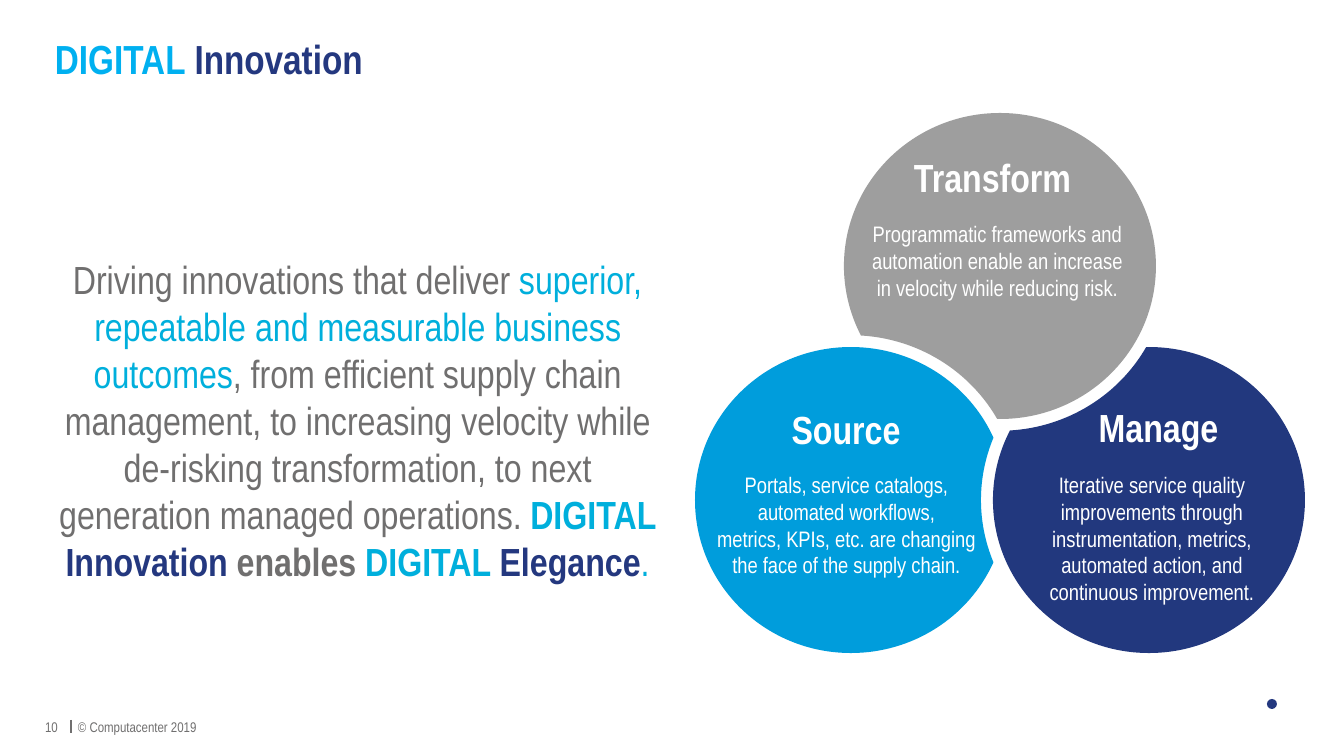
import math
import pptx
import pptx.util
import pptx.dml.color
import pptx.enum.shapes
import pptx.enum.text
import pptx.oxml.ns
from lxml import etree

RGB = pptx.dml.color.RGBColor
AL = pptx.enum.text.PP_ALIGN
ANC = pptx.enum.text.MSO_ANCHOR
QN = pptx.oxml.ns.qn
PX = 914400 / 100.8
FONT = "Arial Narrow"

WHITE = RGB(0xFF, 0xFF, 0xFF)
GREY = RGB(0x70, 0x6F, 0x6F)
SILVER = RGB(0x9E, 0x9E, 0x9E)
SKY = RGB(0x00, 0xB0, 0xF0)
CYAN = RGB(0x00, 0xAF, 0xDC)
BLUE = RGB(0x00, 0x9D, 0xDC)
NAVY = RGB(0x24, 0x38, 0x7F)
DEEP = RGB(0x22, 0x38, 0x7E)

# Content: runs are (text, colour, bold)
TITLE = [("DIGITAL ", SKY, True), ("Innovation", NAVY, True)]
BODY = [
    ("Driving innovations that deliver ", GREY, False),
    ("superior, repeatable and measurable business outcomes", CYAN, False),
    (", from efficient supply chain management, to increasing velocity while "
     "de-risking transformation, to next generation managed operations. ", GREY, False),
    ("DIGITAL ", CYAN, True),
    ("Innovation ", NAVY, True),
    ("enables ", GREY, True),
    ("DIGITAL ", CYAN, True),
    ("Elegance", NAVY, True),
    (".", CYAN, False),
]
FOOT = [("© Computacenter 2019", (78, 713, 532, 24)), ("10", (45, 713, 24, 24))]

# Circles: each is cut by the ring around the one named in cut
CIRCLES = {
    "Transform": dict(at=(1000, 266), fill=SILVER, cut="Source",
                      head=(869, 148, 247, 60), box=(853, 215, 289, 125),
                      text=["Programmatic frameworks and automation enable an "
                            "increase in velocity while reducing risk."]),
    "Source": dict(at=(851, 500), fill=BLUE, cut="Manage",
                   head=(700, 400, 292, 60), box=(701, 466, 291, 120),
                   text=["Portals, service catalogs, automated workflows,",
                         "metrics, KPIs, etc. are changing the face of the supply chain."]),
    "Manage": dict(at=(1149, 500), fill=DEEP, cut="Transform",
                   head=(1017, 398, 283, 60), box=(1024, 466, 256, 146),
                   text=["Iterative service quality improvements through instrumentation, "
                         "metrics, automated action, and continuous improvement."]),
}
RX, RY, GAP = 156, 153, 12

deck = pptx.Presentation()
deck.slide_width, deck.slide_height = round(1344 * PX), round(756 * PX)
slide = deck.slides.add_slide(deck.slide_layouts[6])
shapes = slide.shapes


def emu(nums):
    return [round(n * PX) for n in nums]


def paint(shape, fill):
    shape.shadow.inherit = False
    shape.fill.solid()
    shape.fill.fore_color.rgb = fill
    shape.line.fill.background()


def write(box, paras, size, align=AL.LEFT, anchor=ANC.TOP, inset=None, space=None):
    frame = shapes.add_textbox(*emu(box)).text_frame
    frame.word_wrap = True
    frame.vertical_anchor = anchor
    if inset:
        (frame.margin_left, frame.margin_top,
         frame.margin_right, frame.margin_bottom) = emu(inset)
    for i, runs in enumerate(paras):
        para = frame.add_paragraph() if i else frame.paragraphs[0]
        para.alignment = align
        if space:
            para.line_spacing = space
        for text, color, bold in runs:
            run = para.add_run()
            run.text = text
            run.font.name = FONT
            run.font.size = pptx.util.Pt(size)
            run.font.bold = bold
            run.font.color.rgb = color


def arc(mid, rad, turns):
    """Start of an arc, then three curve points for each step in turns."""
    def spot(turn, pull=0):
        return (mid[0] + RX * rad * (math.cos(turn) - pull * math.sin(turn)),
                mid[1] + RY * rad * (math.sin(turn) + pull * math.cos(turn)))

    dots = [spot(turns[0])]
    for a, b in zip(turns, turns[1:]):
        pull = 4 / 3 * math.tan((b - a) / 4)
        dots += [spot(a, pull), spot(b, -pull), spot(b)]
    return dots


def bite(mid, other):
    """Outline of a circle less the ring around the other one."""
    dx, dy = (other[0] - mid[0]) / RX, (other[1] - mid[1]) / RY
    dist, turn, ring = math.hypot(dx, dy), math.atan2(dy, dx), 1 + GAP / RX
    near = math.acos((1 + dist ** 2 - ring ** 2) / (2 * dist))
    far = math.acos((ring ** 2 + dist ** 2 - 1) / (2 * dist * ring))
    first, last = turn + near, turn + 2 * math.pi - near
    quarters = [q * math.pi / 2 for q in range(-4, 9)]
    stops = [first] + [q for q in quarters if first < q < last] + [last]
    back = turn + math.pi
    return arc(mid, 1, stops) + arc(other, ring, [back + far, back - far])[1:]


def curve(dots, fill):
    """Freeform whose points after the first are cubic curves, by threes."""
    pen = shapes.build_freeform(*dots[0])
    pen.add_line_segments(dots[1:], close=True)
    shape = pen.convert_to_shape()
    paint(shape, fill)
    lines = list(shape._element.iter(QN("a:lnTo")))
    for i in range(0, len(lines), 3):
        bend = etree.Element(QN("a:cubicBezTo"))
        lines[i].addprevious(bend)
        for line in lines[i:i + 3]:
            bend.append(line[0])
            line.getparent().remove(line)


# Footer
rule = shapes.add_connector(pptx.enum.shapes.MSO_CONNECTOR.STRAIGHT,
                            *emu((71, 720, 71, 733)))
rule.line.color.rgb = GREY
rule.line.width = pptx.util.Pt(0.75)
etree.SubElement(rule._element.spPr, QN("a:effectLst"))
for text, box in FOOT:
    write(box, [[(text, GREY, False)]], 10, anchor=ANC.MIDDLE, inset=(0, 4, 0, 0))

# Plain dot in the corner
dot = shapes.add_shape(pptx.enum.shapes.MSO_SHAPE.OVAL, *emu((1267, 699, 10, 10)))
paint(dot, NAVY)

# Interlocking circles, then their words
for part in CIRCLES.values():
    ring = bite(part["at"], CIRCLES[part["cut"]]["at"])
    curve([emu(p) for p in ring], part["fill"])
for name, part in CIRCLES.items():
    write(part["head"], [[(name, WHITE, True)]], 28, AL.CENTER)
    write(part["box"], [[(t, WHITE, False)] for t in part["text"]], 16, AL.CENTER)

# Title and statement
write((45, 37, 1199, 48), [TITLE], 29, anchor=ANC.MIDDLE, space=0.9)
write((43, 250, 629, 343), [BODY], 28, AL.CENTER)

deck.save("out.pptx")
